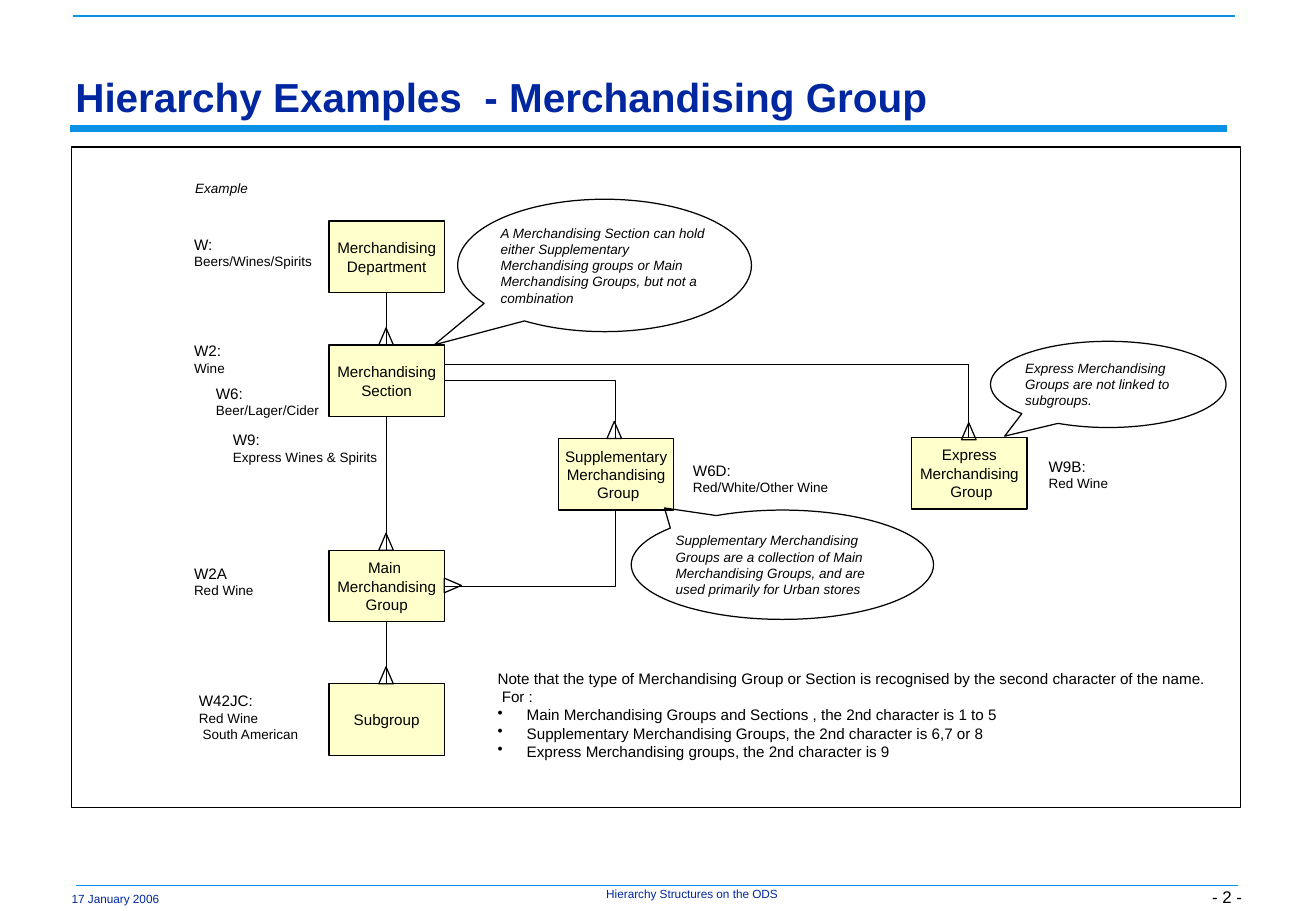
from dataclasses import dataclass

from lxml import etree
from pptx import Presentation, util as u
from pptx.dml.color import RGBColor
from pptx.enum import shapes, text
from pptx.oxml import ns

TOP, LEFT, BOTTOM, RIGHT = range(4)
ALIGN = text.PP_ALIGN
ANCHOR = text.MSO_ANCHOR
PRESET = shapes.MSO_SHAPE


@dataclass(frozen=True)
class Theme:
    font: str = "Arial"
    navy: RGBColor = RGBColor(0x00, 0x27, 0x9F)
    blue: RGBColor = RGBColor(0x0A, 0x91, 0xE6)
    black: RGBColor = RGBColor(0, 0, 0)
    cream: RGBColor = RGBColor(0xFF, 0xFF, 0xCC)
    title: int = 24
    page: int = 10
    body: int = 9
    small: int = 8
    footer: int = 7
    thin: float = 0.75
    box_width: float = 0.95
    box_height: float = 0.59
    foot_width: float = 0.12
    foot_height: float = 0.14


class HierarchySlide:
    """Draws the elements of a hierarchy diagram in one style."""

    def __init__(self, presentation, theme):
        self.theme = theme
        self.slide = presentation.slides.add_slide(presentation.slide_layouts[5])

    def fill_text(self, shape, lines, sizes, color=None, align=ALIGN.LEFT, italic=False,
                  bold=False, wrap=True, anchor=ANCHOR.MIDDLE, insets=(0.1, 0.05)):
        frame = shape.text_frame
        frame.word_wrap = wrap
        frame.vertical_anchor = anchor
        frame.margin_left = frame.margin_right = u.Inches(insets[0])
        frame.margin_top = frame.margin_bottom = u.Inches(insets[1])
        frame.text = "\n".join(lines)
        for index, paragraph in enumerate(frame.paragraphs):
            paragraph.alignment = align
            paragraph.space_before = u.Pt(0)
            font = paragraph.font
            font.name = self.theme.font
            font.size = u.Pt(sizes[min(index, len(sizes) - 1)])
            font.bold = bold
            font.italic = italic
            font.color.rgb = color or self.theme.black
        return frame

    def title(self, bounds, wording):
        shape = self.slide.shapes.title
        shape.left, shape.top, shape.width, shape.height = map(u.Inches, bounds)
        self.fill_text(shape, [wording], [self.theme.title], self.theme.navy, bold=True,
                       anchor=ANCHOR.BOTTOM, insets=(0.07, 0.03))

    def textbox(self, bounds, lines, sizes, **style):
        shape = self.slide.shapes.add_textbox(*map(u.Inches, bounds))
        return self.fill_text(shape, lines, sizes, **style)

    def label(self, left, top, code, *names):
        height = 0.26 + 0.13 * len(names)
        self.textbox((left, top, 1.6, height), [code, *names],
                     [self.theme.body, self.theme.small])

    def outline(self, preset, bounds, fill=None):
        shape = self.slide.shapes.add_shape(preset, *map(u.Inches, bounds))
        shape.shadow.inherit = False
        shape.line.color.rgb = self.theme.black
        shape.line.width = u.Pt(self.theme.thin)
        if fill is None:
            shape.fill.background()
        else:
            shape.fill.solid()
            shape.fill.fore_color.rgb = fill
        return shape

    def box(self, left, top, *lines):
        bounds = (left, top, self.theme.box_width, self.theme.box_height)
        shape = self.outline(PRESET.RECTANGLE, bounds, self.theme.cream)
        self.fill_text(shape, lines, [self.theme.body], align=ALIGN.CENTER, wrap=False)
        return shape

    def callout(self, bounds, tip, wording):
        shape = self.outline(PRESET.OVAL_CALLOUT, bounds)
        shape.adjustments[0], shape.adjustments[1] = tip
        self.fill_text(shape, [wording], [self.theme.small], italic=True, insets=(0, 0.05))

    def crow_foot(self, center, top, rotation=0):
        width, height = self.theme.foot_width, self.theme.foot_height
        shape = self.outline(PRESET.ISOSCELES_TRIANGLE, (center - width / 2, top, width, height))
        shape.rotation = rotation

    def line(self, start, end, color, width, kind=shapes.MSO_CONNECTOR.STRAIGHT):
        connector = self.slide.shapes.add_connector(kind, *map(u.Inches, (*start, *end)))
        connector.line.color.rgb = color
        connector.line.width = u.Pt(width)
        etree.SubElement(connector.element.spPr, ns.qn("a:effectLst"))
        return connector

    def rule(self, left, right, top, width):
        self.line((left, top), (right, top), self.theme.blue, width)

    def drop(self, parent, child):
        connector = self.line((0, 0), (1, 1), self.theme.black, self.theme.thin)
        connector.begin_connect(parent, BOTTOM)
        connector.end_connect(child, TOP)

    def elbow(self, start, end):
        connector = self.line(start, end, self.theme.black, self.theme.thin,
                              shapes.MSO_CONNECTOR.ELBOW)
        connector.element.spPr.find(ns.qn("a:prstGeom")).set("prst", "bentConnector2")

    def bullet(self, paragraph, indent):
        properties = paragraph._p.get_or_add_pPr()
        properties.set("marL", str(u.Inches(indent)))
        properties.set("indent", str(-u.Inches(indent)))
        mark = etree.Element(ns.qn("a:buChar"), char="•")
        properties.find(ns.qn("a:defRPr")).addprevious(mark)


def main():
    presentation = Presentation()
    presentation.slide_width, presentation.slide_height = u.Inches(10.84), u.Inches(7.5)
    theme = Theme()
    page = HierarchySlide(presentation, theme)

    page.rule(0.6, 10.17, 0.13, 1)
    page.rule(0.58, 10.11, 1.06, 4)
    page.rule(0.63, 10.2, 7.29, 1)
    page.title((0.55, 0.58, 9.63, 0.44), "Hierarchy Examples  - Merchandising Group")
    page.textbox((0.49, 7.29, 0.92, 0.22), ["17 January 2006"], [theme.footer],
                 color=theme.navy, align=ALIGN.CENTER, wrap=False)
    footer = page.textbox((4.94, 7.31, 1.52, 0.11), ["Hierarchy Structures on the ODS"],
                          [theme.footer], color=theme.navy, align=ALIGN.CENTER,
                          anchor=ANCHOR.TOP, insets=(0, 0))
    footer.paragraphs[0].line_spacing = 0.9
    page.textbox((9.7, 7.11, 0.6, 0.39), ["- 2 -"], [theme.page], align=ALIGN.RIGHT,
                 anchor=ANCHOR.BOTTOM, insets=(0.07, 0.03))
    page.outline(PRESET.RECTANGLE, (0.59, 1.21, 9.63, 5.44))

    column = 2.71
    chain = [
        page.box(column, 1.82, "Merchandising", "Department"),
        page.box(column, 2.84, "Merchandising", "Section"),
        page.box(column, 4.53, "Main ", "Merchandising", "Group"),
        page.box(column, 5.63, "Subgroup"),
    ]
    page.box(4.6, 3.61, "Supplementary", "Merchandising", " Group")
    page.box(7.51, 3.6, "Express", "Merchandising", " Group")

    for parent, child in zip(chain, chain[1:]):
        page.drop(parent, child)
        page.crow_foot(3.18, child.top.inches - theme.foot_height)
    page.elbow((3.66, 3.13), (5.07, 3.61))
    page.elbow((3.66, 4.83), (5.07, 4.2))
    page.elbow((3.66, 3), (7.98, 3.6))
    page.crow_foot(5.06, 3.47)
    page.crow_foot(7.98, 3.48)
    page.crow_foot(3.73, 4.75, 90)

    page.textbox((1.4, 1.43, 0.85, 0.24), ["Example"], [theme.small],
                 align=ALIGN.CENTER, italic=True)
    for label in (
        (1.5, 1.88, "W:", "Beers/Wines/Spirits"),
        (1.5, 2.76, "W2:", "Wine"),
        (1.68, 3.11, "W6:", "Beer/Lager/Cider"),
        (1.82, 3.49, "W9:", "Express Wines & Spirits"),
        (1.5, 4.59, "W2A", "Red Wine"),
        (1.54, 5.64, "W42JC:", "Red Wine", " South American"),
        (5.61, 3.74, "W6D:", "Red/White/Other Wine"),
        (8.54, 3.71, "W9B:", "Red Wine"),
    ):
        page.label(*label)

    page.callout((3.77, 1.64, 2.42, 1.09), (-0.58, 0.6),
                 "A Merchandising Section can hold either Supplementary Merchandising groups "
                 "or Main Merchandising Groups, but not a combination")
    page.callout((5.2, 4.2, 2.49, 0.9), (-0.39, -0.52),
                 "Supplementary Merchandising Groups are a collection of Main Merchandising "
                 "Groups, and are used primarily for Urban stores")
    page.callout((8.16, 2.81, 1.94, 0.71), (-0.44, 0.6),
                 "Express Merchandising Groups are not linked to subgroups.")

    note = page.textbox((4, 5.46, 6.02, 0.85), [
        "Note that the type of Merchandising Group or Section is recognised by "
        "the second character of the name.",
        " For :",
        "Main Merchandising Groups and Sections , the 2nd character is 1 to 5",
        "Supplementary Merchandising Groups, the 2nd character is 6,7 or 8",
        "Express Merchandising groups, the 2nd character is 9",
    ], [theme.body], wrap=False)
    for paragraph in note.paragraphs[2:]:
        page.bullet(paragraph, 0.24)

    presentation.save("out.pptx")


if __name__ == "__main__":
    main()
